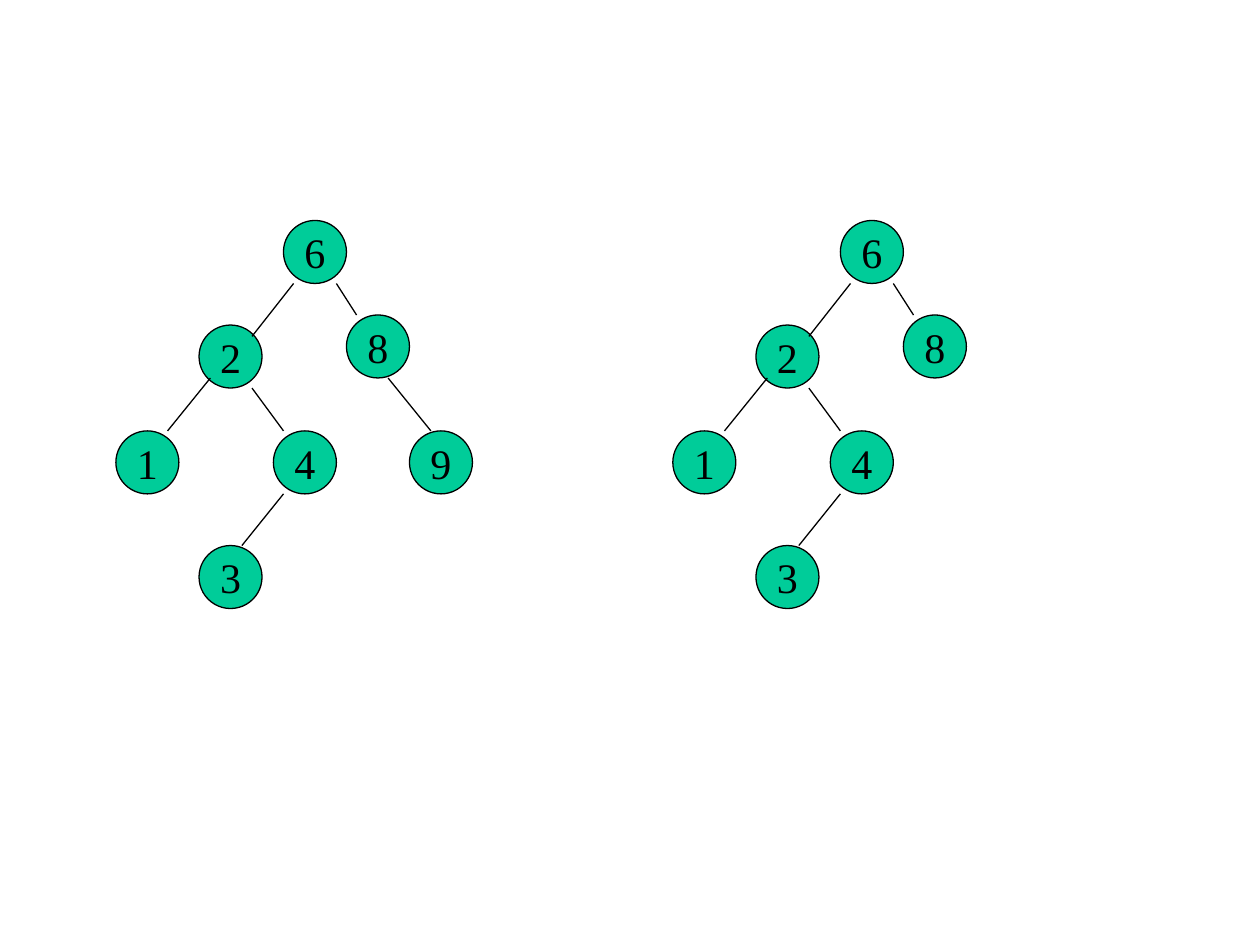
import pptx
import pptx.util
from pptx.dml.color import RGBColor
from pptx.enum.shapes import MSO_CONNECTOR, MSO_SHAPE
from pptx.enum.text import MSO_ANCHOR, PP_ALIGN
from pptx.oxml.ns import qn
from lxml import etree

Inches, Pt = pptx.util.Inches, pptx.util.Pt

# Content: the tree both sides share, then the leaf only the left one has
NODES = [("6", 2.25, 1.75), ("2", 1.58, 2.58), ("8", 2.75, 2.5),
         ("1", 0.92, 3.42), ("4", 2.17, 3.42), ("3", 1.58, 4.33)]
EDGES = [(2.33, 2.25, 2, 2.67), (2.67, 2.25, 2.83, 2.5), (1.67, 3, 1.33, 3.42),
         (2, 3.08, 2.25, 3.42), (2.25, 3.92, 1.92, 4.33)]
EXTRA_NODES = [("9", 3.25, 3.42)]
EXTRA_EDGES = [(3.08, 3, 3.42, 3.42)]
RIGHT_SHIFT = 4.42
DIAMETER = 0.5


def color(value):
    return RGBColor.from_string(value)


def set_line(sp):
    sp.line.color.rgb = color("000000")
    sp.line.width = Pt(0.75)


def add_node(shapes, key, x, y):
    sp = shapes.add_shape(MSO_SHAPE.OVAL, Inches(x), Inches(y),
                          Inches(DIAMETER), Inches(DIAMETER))
    sp.shadow.inherit = False
    sp.fill.solid()
    sp.fill.fore_color.rgb = color("00CC99")
    set_line(sp)
    tf = sp.text_frame
    tf.word_wrap = False
    tf.vertical_anchor = MSO_ANCHOR.MIDDLE
    p = tf.paragraphs[0]
    p.text = key
    p.alignment = PP_ALIGN.CENTER
    p.font.name = "Times New Roman"
    p.font.size = Pt(24)
    p.font.color.rgb = color("000000")


def add_edge(shapes, x1, y1, x2, y2):
    cx = shapes.add_connector(MSO_CONNECTOR.STRAIGHT, Inches(x1), Inches(y1),
                              Inches(x2), Inches(y2))
    set_line(cx)
    etree.SubElement(cx._element.spPr, qn("a:effectLst"))


def add_tree(shapes, nodes, edges, dx=0):
    for key, x, y in nodes:
        add_node(shapes, key, x + dx, y)
    for x1, y1, x2, y2 in edges:
        add_edge(shapes, x1 + dx, y1, x2 + dx, y2)


def main():
    prs = pptx.Presentation()
    prs.slide_width, prs.slide_height = Inches(10), Inches(7.5)
    s = prs.slides.add_slide(prs.slide_layouts[6])

    # Left tree, right tree, then the left tree's extra leaf
    add_tree(s.shapes.add_group_shape().shapes, NODES, EDGES)
    add_tree(s.shapes, NODES, EDGES, RIGHT_SHIFT)
    add_tree(s.shapes, EXTRA_NODES, EXTRA_EDGES)

    prs.save("out.pptx")


if __name__ == "__main__":
    main()
